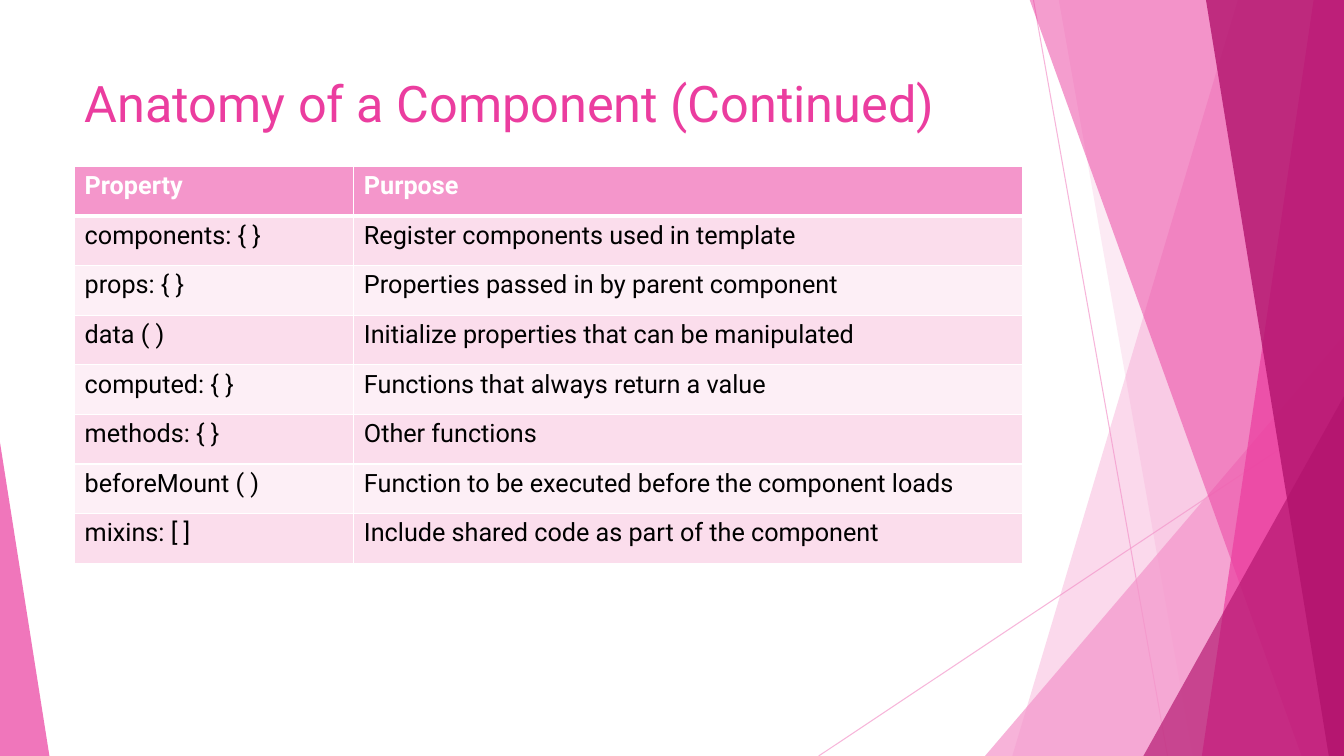
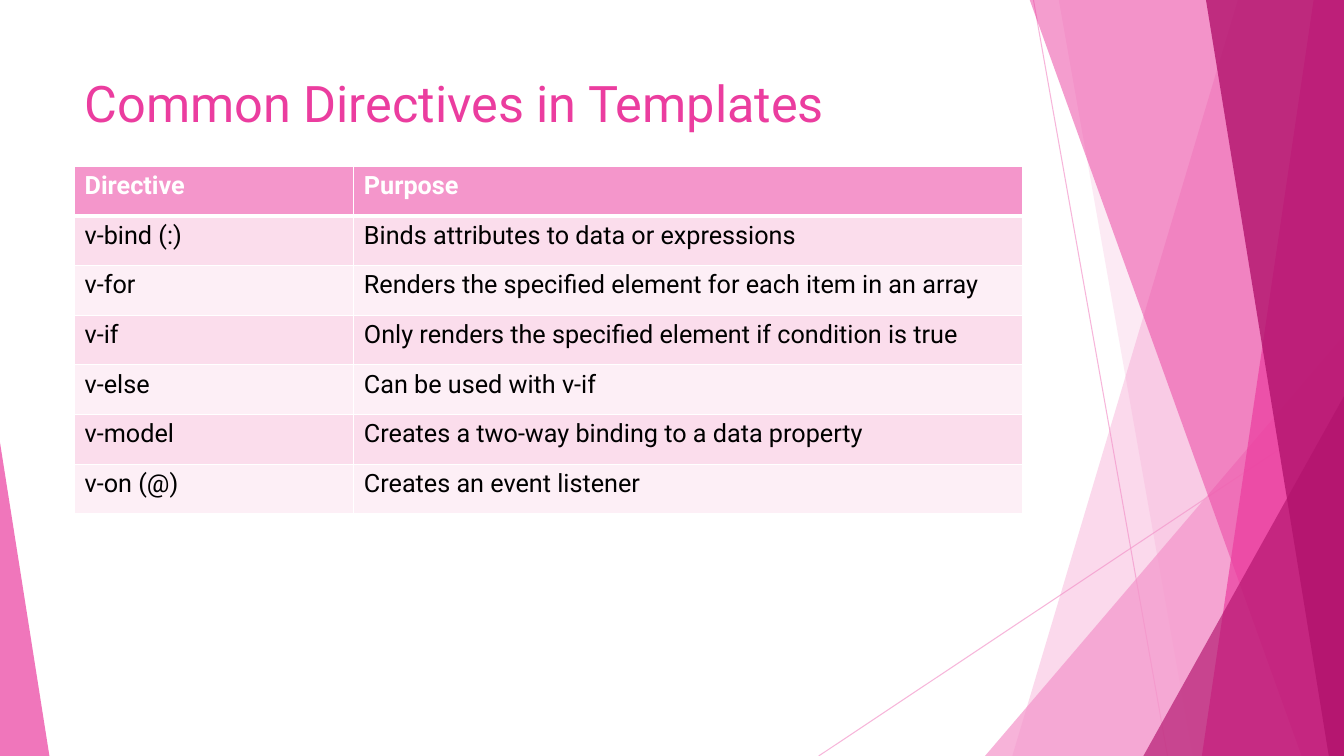
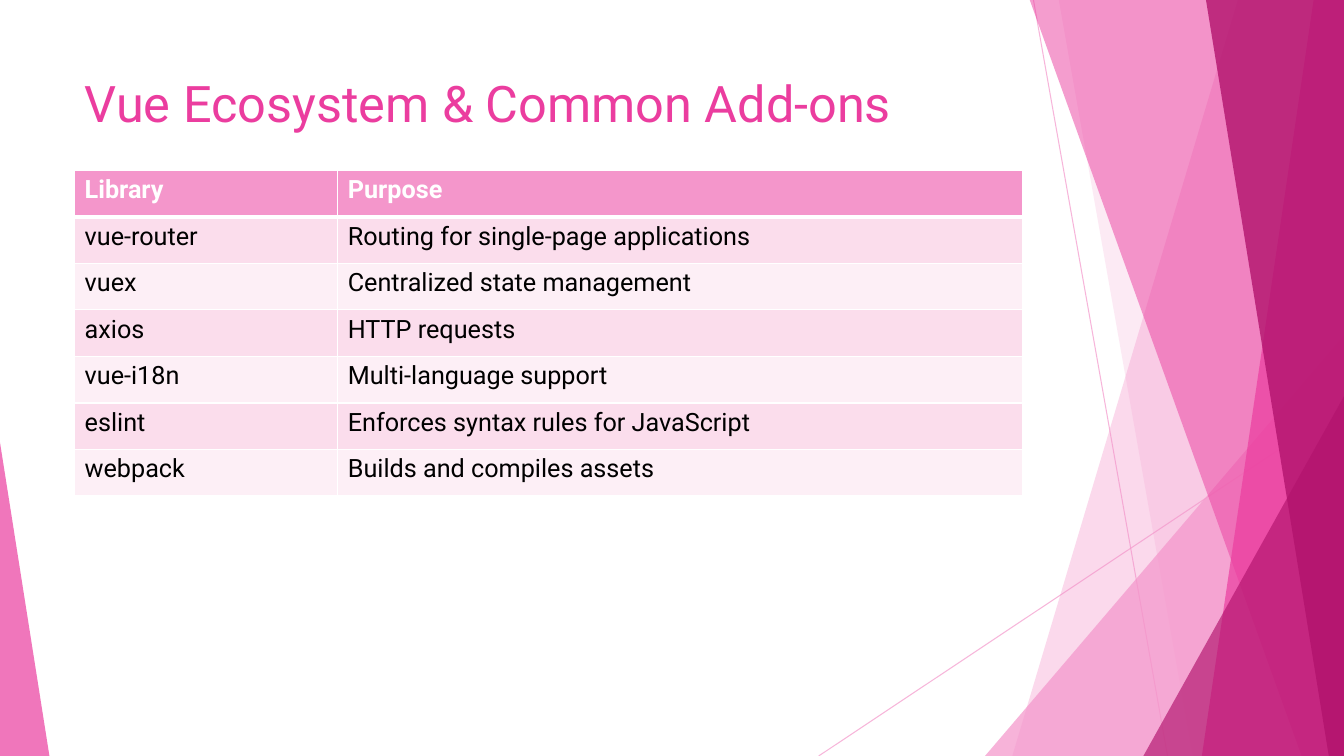
import lxml.etree
import pptx
import pptx.dml.color
import pptx.enum.shapes
import pptx.enum.text
import pptx.oxml.ns
import pptx.util

Inches = pptx.util.Inches
Pt = pptx.util.Pt
qn = pptx.oxml.ns.qn

FONT = "Roboto"
PINK, MAGENTA, PLUM = "F496CB", "EB3D9F", "B2136D"
WHITE, BLACK = "FFFFFF", "000000"
BAND_FILLS = ("FBDDEC", "FDEFF6")
SLIDE_WIDTH, SLIDE_HEIGHT = 13.33, 7.5
LEFT, CONTENT_WIDTH = 0.74, 9.4
BLEED_TOP = -0.01
TITLE_ONLY = 5

PROPERTY_ROWS = [
    ("Property", "Purpose"),
    ("components: { }", "Register components used in template"),
    ("props: { }", "Properties passed in by parent component"),
    ("data ( )", "Initialize properties that can be manipulated"),
    ("computed: { }", "Functions that always return a value"),
    ("methods: { }", "Other functions"),
    ("beforeMount ( )", "Function to be executed before the component loads"),
    ("mixins: [ ]", "Include shared code as part of the component"),
]
DIRECTIVE_ROWS = [
    ("Directive", "Purpose"),
    ("v-bind (:)", "Binds attributes to data or expressions"),
    ("v-for", "Renders the specified element for each item in an array"),
    ("v-if", "Only renders the specified element if condition is true"),
    ("v-else", "Can be used with v-if"),
    ("v-model", "Creates a two-way binding to a data property"),
    ("v-on (@)", "Creates an event listener"),
]
LIBRARY_ROWS = [
    ("Library", "Purpose"),
    ("vue-router", "Routing for single-page applications"),
    ("vuex", "Centralized state management"),
    ("axios", "HTTP requests"),
    ("vue-i18n", "Multi-language support"),
    ("eslint", "Enforces syntax rules for JavaScript"),
    ("webpack", "Builds and compiles assets"),
]


def paint(fill, color, opacity=100):
    """Make a fill solid in a hex colour with an opacity in percent."""
    fill.solid()
    fill.fore_color.rgb = pptx.dml.color.RGBColor.from_string(color)
    if opacity < 100:
        for node in fill._xPr.iter(qn("a:srgbClr")):
            lxml.etree.SubElement(node, qn("a:alpha"), val=str(opacity * 1000))


def write(frame, text, size=18, color=BLACK, bold=False):
    """Write one formatted, left-aligned paragraph into a text frame."""
    para = frame.paragraphs[0]
    para.alignment = pptx.enum.text.PP_ALIGN.LEFT
    span = para.add_run()
    span.text = text
    span.font.name = FONT
    span.font.size = Pt(size)
    span.font.bold = bold
    paint(span.font.fill, color)


def finish_shape(shape, color, opacity):
    """Give a decorative shape its translucent fill, no line and no shadow."""
    shape.shadow.inherit = False
    shape.line.fill.background()
    paint(shape.fill, color, opacity)
    return shape


def add_hairline(slide, start, end):
    """Draw a thin translucent line between two points."""
    points = [Inches(value) for value in (*start, *end)]
    line = slide.shapes.add_connector(
        pptx.enum.shapes.MSO_CONNECTOR.STRAIGHT, *points)
    line.line.width = Pt(0.75)
    paint(line.line.fill, PINK, 70)
    lxml.etree.SubElement(line.element.spPr, qn("a:effectLst"))
    return line


def add_ribbon(slide, top_left, bottom_left, color, opacity):
    """Draw a slanted ribbon that runs out to the right slide edge."""
    corners = [(SLIDE_WIDTH, BLEED_TOP), (SLIDE_WIDTH, SLIDE_HEIGHT),
               (bottom_left, SLIDE_HEIGHT)]
    builder = slide.shapes.build_freeform(Inches(top_left), Inches(BLEED_TOP))
    builder.add_line_segments([(Inches(x), Inches(y)) for x, y in corners])
    return finish_shape(builder.convert_to_shape(), color, opacity)


def add_corner(slide, left, top, width, apex, color, opacity):
    """Draw a triangle standing on the bottom edge of the slide."""
    shape = slide.shapes.add_shape(
        pptx.enum.shapes.MSO_SHAPE.ISOSCELES_TRIANGLE, Inches(left),
        Inches(top), Inches(width), Inches(SLIDE_HEIGHT - top))
    shape.adjustments[0] = apex
    return finish_shape(shape, color, opacity)


def decorate_layout(layout, slide):
    """Draw the facets on a slide and move them to its layout to be shared."""
    facets = [
        add_hairline(slide, (10.25, 0), (11.58, SLIDE_HEIGHT)),
        add_hairline(slide, (SLIDE_WIDTH, 4.03), (8.12, SLIDE_HEIGHT)),
        add_ribbon(slide, 12.28, 10.04, PINK, 36),
        add_ribbon(slide, 10.5, 11.83, PINK, 20),
        add_corner(slide, 9.77, 3.33, 3.56, 1, PINK, 72),
        add_ribbon(slide, 10.21, 12.91, MAGENTA, 50),
        add_ribbon(slide, 13.03, 11.92, MAGENTA, 70),
        add_ribbon(slide, 11.96, 13.18, PLUM, 80),
        add_corner(slide, 11.34, 3.93, 1.99, 1, PLUM, 66),
        add_corner(slide, 0, 4.39, 0.49, 0, MAGENTA, 70),
    ]
    for number, facet in enumerate(facets, start=101):
        next(facet.element.iter(qn("p:cNvPr"))).set("id", str(number))
        layout.shapes.element.append(facet.element)


def set_title(slide, text, height):
    """Place and format the title placeholder."""
    title = slide.shapes.title
    title.left, title.top = Inches(LEFT), Inches(0.67)
    title.width, title.height = Inches(CONTENT_WIDTH), Inches(height)
    title.text_frame.word_wrap = True
    title.text_frame.vertical_anchor = pptx.enum.text.MSO_ANCHOR.TOP
    write(title.text_frame, text, size=36, color=MAGENTA)


def set_borders(cell, top=1, bottom=1):
    """Draw white borders round a cell, widths in points."""
    properties = cell._tc.get_or_add_tcPr()
    widths = {"a:lnL": 1, "a:lnR": 1, "a:lnT": top, "a:lnB": bottom}
    for position, (tag, width) in enumerate(widths.items()):
        border = lxml.etree.Element(qn(tag), w=str(Pt(width)))
        solid = lxml.etree.SubElement(border, qn("a:solidFill"))
        lxml.etree.SubElement(solid, qn("a:srgbClr"), val=WHITE)
        properties.insert(position, border)


def add_purpose_table(slide, rows, top, height, first_width):
    """Add a two-column table with a header row and banded body rows."""
    frame = slide.shapes.add_table(
        len(rows), 2, Inches(LEFT), Inches(top),
        Inches(CONTENT_WIDTH), Inches(height))
    table = frame.table
    table.columns[0].width = Inches(first_width)
    table.columns[1].width = Inches(CONTENT_WIDTH - first_width)
    for index, texts in enumerate(rows):
        header = index == 0
        table.rows[index].height = Inches(height / len(rows))
        for column, text in enumerate(texts):
            cell = table.cell(index, column)
            paint(cell.fill, PINK if header else BAND_FILLS[(index - 1) % 2])
            set_borders(cell, top=3 if index == 1 else 1,
                        bottom=3 if header else 1)
            write(cell.text_frame, text, bold=header,
                  color=WHITE if header else BLACK)


def main():
    """Build and save the deck."""
    deck = pptx.Presentation()
    deck.slide_width = Inches(SLIDE_WIDTH)
    deck.slide_height = Inches(SLIDE_HEIGHT)
    layout = deck.slide_layouts[TITLE_ONLY]
    pages = [
        ("Anatomy of a Component (Continued)", 0.94,
         PROPERTY_ROWS, 1.65, 3.94, 2.77),
        ("Common Directives in Templates", 0.94,
         DIRECTIVE_ROWS, 1.65, 3.45, 2.77),
        ("Vue Ecosystem & Common Add-ons", 0.85,
         LIBRARY_ROWS, 1.69, 3.23, 2.61),
    ]
    for title, title_height, rows, top, height, first_width in pages:
        slide = deck.slides.add_slide(layout)
        set_title(slide, title, title_height)
        add_purpose_table(slide, rows, top, height, first_width)
    decorate_layout(layout, deck.slides[0])
    deck.save("out.pptx")


main()
